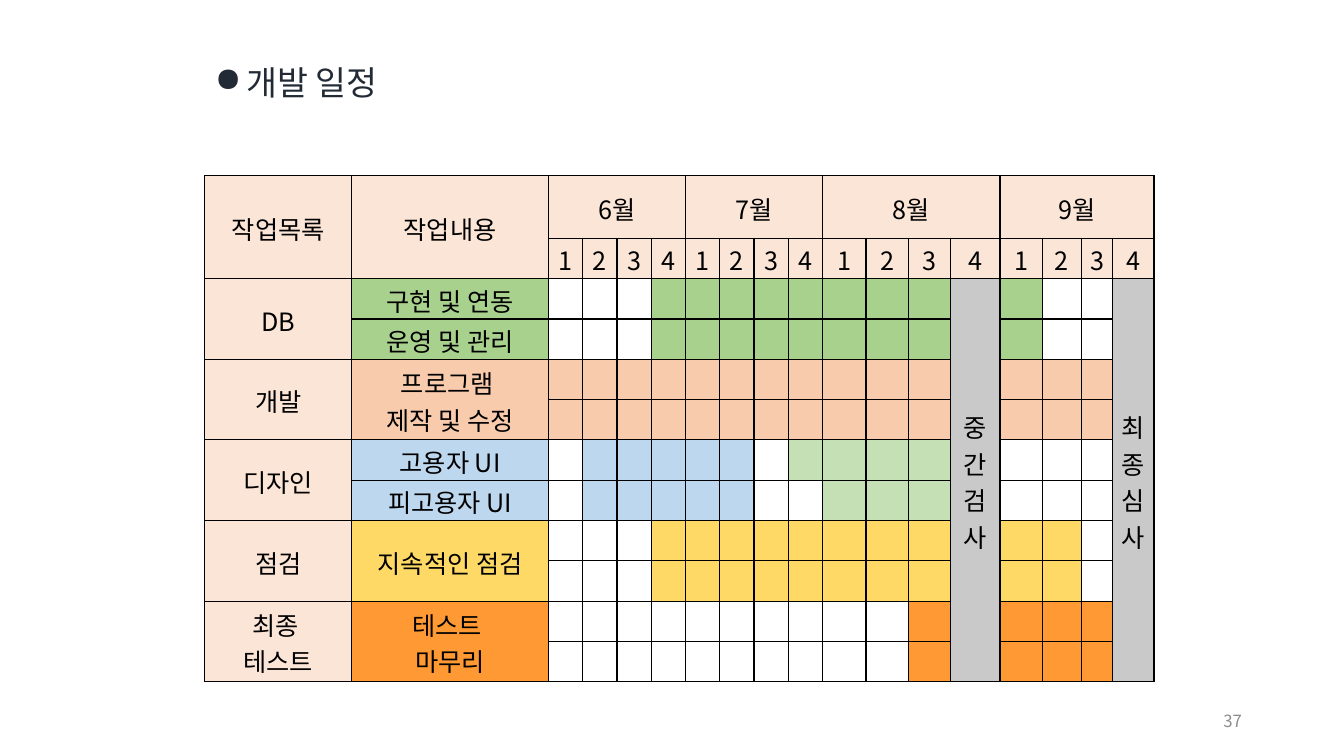
from dataclasses import dataclass, field
from lxml.etree import SubElement
from pptx import Presentation
from pptx.dml.color import RGBColor
from pptx.enum.text import MSO_ANCHOR, MSO_AUTO_SIZE, PP_ALIGN
from pptx.oxml import parse_xml
from pptx.oxml.ns import nsdecls, qn
from pptx.util import Pt


@dataclass
class Theme:
    font: str = "Noto Sans CJK KR"
    title_size: int = 24
    cell_size: int = 18
    number_size: int = 12
    title: str = "222A35"
    number: str = "8C8C8C"
    line: str = "000000"
    fills: dict = field(default_factory=lambda: {
        "h": "FBE5D6", "w": "FFFFFF", "g": "A9D18E", "p": "F8CBAD", "b": "BDD7EE",
        "l": "C5E0B4", "y": "FFD966", "o": "FF9933", "x": "C9C9C9",
    })


theme = Theme()


def add_run(p, text, size, color):
    r = p.add_run()
    r.text = text
    r.font.size = Pt(size)
    r.font.bold = False
    r.font.color.rgb = RGBColor.from_string(color)
    r.font.name = theme.font
    SubElement(r.font._element, qn("a:ea"), typeface=theme.font)


def add_borders(cell):
    tcPr = cell._tc.get_or_add_tcPr()
    for i, side in enumerate(("lnL", "lnR", "lnT", "lnB")):
        tcPr.insert(i, parse_xml(
            f'<a:{side} {nsdecls("a")} w="{Pt(1)}"><a:solidFill>'
            f'<a:srgbClr val="{theme.line}"/></a:solidFill></a:{side}>'))


prs = Presentation()
prs.slide_width, prs.slide_height = Pt(960), Pt(540)
s = prs.slides.add_slide(prs.slide_layouts[5])

sp = s.shapes.title
sp.left, sp.top, sp.width, sp.height = Pt(146.2), Pt(40.3), Pt(306), Pt(36)
tf = sp.text_frame
tf.auto_size = MSO_AUTO_SIZE.NONE
tf.vertical_anchor = MSO_ANCHOR.TOP
p = tf.paragraphs[0]
p.alignment = PP_ALIGN.LEFT
pPr = p._p.get_or_add_pPr()
pPr.set("marL", str(Pt(22.5)))
pPr.set("indent", str(-Pt(22.5)))
SubElement(pPr, qn("a:buChar"), char="●")
add_run(p, "개발 일정", theme.title_size, theme.title)

schedule = [
    "h" * 18,
    "h" * 18,
    "hgwwwggggggggxgwwx",
    "hgwwwggggggggxgwwx",
    "hppppppppppppxpppx",
    "hppppppppppppxpppx",
    "hbwbbbbbwllllxwwwx",
    "hbwbbbbbwwlllxwwwx",
    "hywwwyyyyyyyyxyywx",
    "hywwwyyyyyyyyxyywx",
    "howwwwwwwwwwoxooox",
    "howwwwwwwwwwoxooox",
]
widths = [105.1, 140.4] + [24.5] * 8 + [31, 30.2, 30.2, 35.3, 30.2, 28.1, 22.3, 29.5]
heights = [44.6] + [28.8] * 11
labels = [
    (0, 0, 2, 1, "작업목록"), (0, 1, 2, 1, "작업내용"),
    (2, 0, 2, 1, "DB"), (2, 1, 1, 1, "구현 및 연동"), (3, 1, 1, 1, "운영 및 관리"),
    (4, 0, 2, 1, "개발"), (4, 1, 2, 1, "프로그램 \n제작 및 수정"),
    (6, 0, 2, 1, "디자인"), (6, 1, 1, 1, "고용자 UI"), (7, 1, 1, 1, "피고용자 UI"),
    (8, 0, 2, 1, "점검"), (8, 1, 2, 1, "지속적인 점검"),
    (10, 0, 2, 1, "최종 \n테스트"), (10, 1, 2, 1, "테스트 \n마무리"),
    (2, 13, 10, 1, "중간검사"), (2, 17, 10, 1, "최종심사"),
]
for i, month in enumerate(("6월", "7월", "8월", "9월")):
    col = 2 + 4 * i
    labels.append((0, col, 1, 4, month))
    labels += [(1, col + week, 1, 1, str(week + 1)) for week in range(4)]

table = s.shapes.add_table(
    len(heights), len(widths), Pt(146.2), Pt(125.6), Pt(sum(widths)), Pt(sum(heights))).table
table.first_row = table.horz_banding = False
for col, width in zip(table.columns, widths):
    col.width = Pt(width)
for row, height, codes in zip(table.rows, heights, schedule):
    row.height = Pt(height)
    for cell, code in zip(row.cells, codes):
        cell.fill.solid()
        cell.fill.fore_color.rgb = RGBColor.from_string(theme.fills[code])
        cell.margin_left = cell.margin_right = Pt(3)
        cell.margin_top, cell.margin_bottom = Pt(2.2), Pt(0.4)
        cell.vertical_anchor = MSO_ANCHOR.MIDDLE
        add_borders(cell)

for row, col, rows, cols, text in labels:
    cell = table.cell(row, col)
    if rows * cols > 1:
        cell.merge(table.cell(row + rows - 1, col + cols - 1))
    tf = cell.text_frame
    for i, line in enumerate(text.split("\n")):
        p = tf.add_paragraph() if i else tf.paragraphs[0]
        p.alignment = PP_ALIGN.CENTER
        add_run(p, line, theme.cell_size, theme.line)

sp = s.shapes.add_textbox(Pt(678.2), Pt(500.4), Pt(216), Pt(28.8))
tf = sp.text_frame
tf.word_wrap = True
tf.vertical_anchor = MSO_ANCHOR.MIDDLE
p = tf.paragraphs[0]
p.alignment = PP_ALIGN.RIGHT
add_run(p, "37", theme.number_size, theme.number)

prs.save("out.pptx")
